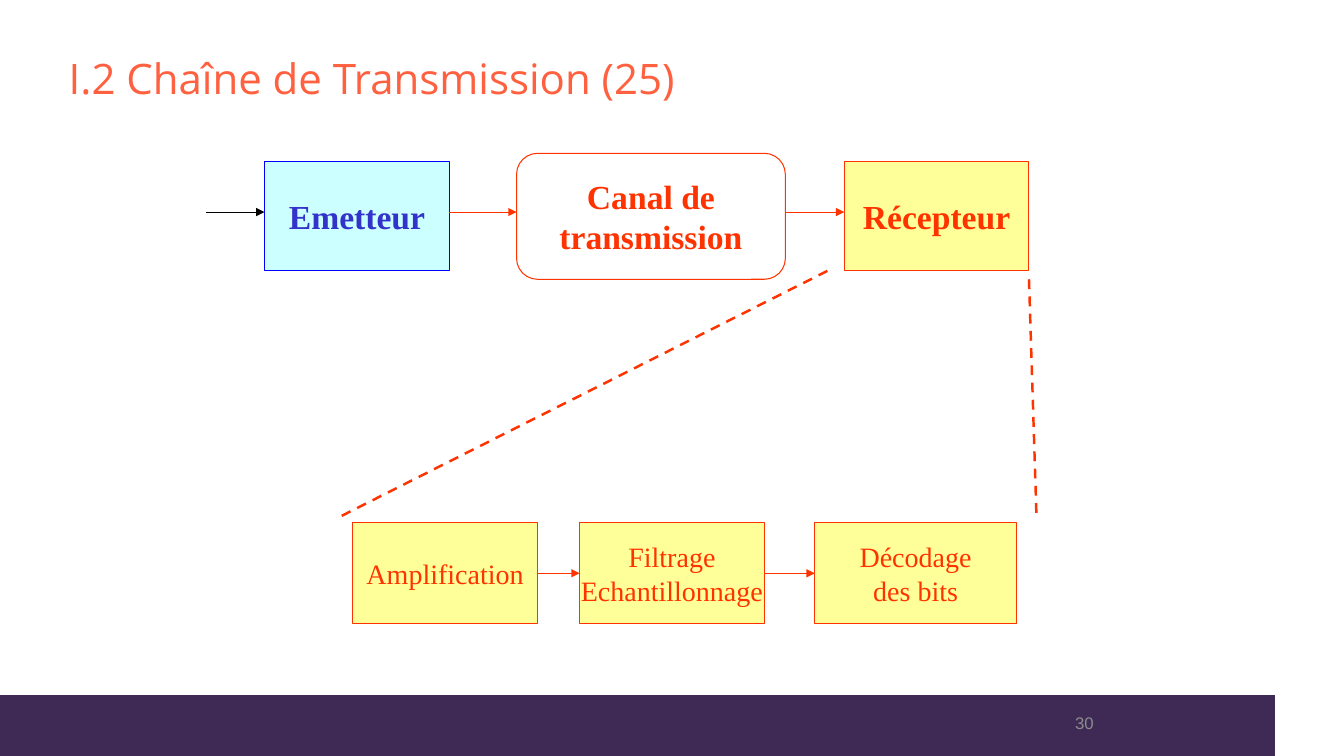
from dataclasses import dataclass

from lxml import etree
from pptx import Presentation
from pptx import util as u
from pptx.dml.color import RGBColor
from pptx.enum import dml, shapes, text
from pptx.oxml import ns


@dataclass(frozen=True)
class Theme:
    """Colours, fonts and type sizes of the slide."""
    white: str = "FFFFFF"
    black: str = "000000"
    band: str = "3F2A56"
    title: str = "FF6140"
    number: str = "8C8C8C"
    red: str = "FF3300"
    blue: str = "0000FF"
    blue_text: str = "3333CC"
    cyan: str = "CCFFFF"
    yellow: str = "FFFF99"
    title_font: str = "Open Sans"
    box_font: str = "Times New Roman"
    number_font: str = "Arial"
    title_size: int = 30
    chain_size: int = 24
    detail_size: int = 20
    number_size: int = 12
    thin: float = 0.75
    thick: float = 1.75


theme = Theme()
COLUMNS, ROWS = 160, 90
presentation = Presentation()
presentation.slide_width, presentation.slide_height = u.Inches(13.33), u.Inches(7.5)
cell_width = presentation.slide_width / COLUMNS
cell_height = presentation.slide_height / ROWS
slide = presentation.slides.add_slide(presentation.slide_layouts[6])


def add_block(kind, place, lines=(), style=None, fill=None, outline=None):
    """Add a shape, or a text box when kind is None, at a grid place."""
    column, row, columns, rows = place
    frame = [round(length) for length in (column * cell_width, row * cell_height,
                                          columns * cell_width, rows * cell_height)]
    if kind is None:
        shape = slide.shapes.add_textbox(*frame)
    else:
        shape = slide.shapes.add_shape(kind, *frame)
        shape.shadow.inherit = False
        shape.fill.solid()
        shape.fill.fore_color.rgb = RGBColor.from_string(fill)
        if outline:
            shape.line.color.rgb = RGBColor.from_string(outline)
            shape.line.width = u.Pt(theme.thin)
        else:
            shape.line.fill.background()
    shape.text_frame.word_wrap = kind is None
    for index, words in enumerate(lines):
        font_name, size, color, bold, alignment = style
        paragraph = (shape.text_frame.add_paragraph() if index
                     else shape.text_frame.paragraphs[0])
        paragraph.alignment = alignment
        run = paragraph.add_run()
        run.text = words
        run.font.name, run.font.size, run.font.bold = font_name, u.Pt(size), bold
        run.font.color.rgb = RGBColor.from_string(color)
    return shape


def add_line(start, end, color, arrow=True):
    """Join two grid points with a thin arrow or a thick dashed line."""
    points = [round(length) for column, row in (start, end)
              for length in (column * cell_width, row * cell_height)]
    line = slide.shapes.add_connector(shapes.MSO_CONNECTOR.STRAIGHT, *points)
    line.line.color.rgb = RGBColor.from_string(color)
    line.line.width = u.Pt(theme.thin if arrow else theme.thick)
    if arrow:
        etree.SubElement(line.line._get_or_add_ln(), ns.qn("a:tailEnd"), type="triangle")
    else:
        line.line.dash_style = dml.MSO_LINE.DASH
    etree.SubElement(line._element.spPr, ns.qn("a:effectLst"))


RECTANGLE = shapes.MSO_SHAPE.RECTANGLE
ROUNDED = shapes.MSO_SHAPE.ROUNDED_RECTANGLE
LEFT, CENTER, RIGHT = text.PP_ALIGN.LEFT, text.PP_ALIGN.CENTER, text.PP_ALIGN.RIGHT

# Footer band with a plain emblem, and title
add_block(RECTANGLE, (0, 82.75, COLUMNS, ROWS - 82.75), fill=theme.band)
add_block(RECTANGLE, (151.8, 82.75, COLUMNS - 151.8, ROWS - 82.75), fill=theme.white)
title = add_block(None, (7, 6.35, 142.5, 8), ["I.2 Chaîne de Transmission (25)"],
                  (theme.title_font, theme.title_size, theme.title, False, LEFT))
title.text_frame.paragraphs[0].line_spacing = 0.9

# Each row of boxes: (shape, left, top, width, height, lines, fill, outline, text)
chain = [
    (RECTANGLE, 31.5, 19.25, 22, 13, ["Emetteur"], theme.cyan, theme.blue, theme.blue_text),
    (ROUNDED, 61.5, 18.25, 32, 15, ["Canal de", "transmission"],
     theme.white, theme.red, theme.red),
    (RECTANGLE, 100.5, 19.25, 22, 13, ["Récepteur"], theme.yellow, theme.red, theme.red),
]
details = [
    (RECTANGLE, left, 62.25, width, 12, lines, theme.yellow, theme.red, theme.red)
    for left, width, lines in [(42, 22, ["Amplification"]),
                               (69, 22, ["Filtrage", "Echantillonnage"]),
                               (97, 24, ["Décodage", "des bits"])]
]
CHAIN_AXIS, DETAIL_AXIS = 25.25, 68.25
for boxes, axis, size, bold in [(chain, CHAIN_AXIS, theme.chain_size, True),
                                (details, DETAIL_AXIS, theme.detail_size, False)]:
    for kind, left, top, width, height, lines, fill, outline, color in boxes:
        box = add_block(kind, (left, top, width, height), lines,
                        (theme.box_font, size, color, bold, CENTER), fill, outline)
        box.text_frame.vertical_anchor = text.MSO_ANCHOR.MIDDLE
    for before, after in zip(boxes, boxes[1:]):
        add_line((before[1] + before[3], axis), (after[1], axis), theme.red)

# Input arrow, and dashed lines that open the receiver into its stages
add_line((24.5, CHAIN_AXIS), (chain[0][1], CHAIN_AXIS), theme.black)
add_line((98.5, 32.25), (40, 61.75), theme.red, arrow=False)
add_line((122.5, 33.25), (123.4, 61.75), theme.red, arrow=False)

number = add_block(None, (95.4, 83.65, 36, 4.8), ["30"],
                   (theme.number_font, theme.number_size, theme.number, False, RIGHT))
number.text_frame.vertical_anchor = text.MSO_ANCHOR.MIDDLE

presentation.save("out.pptx")
